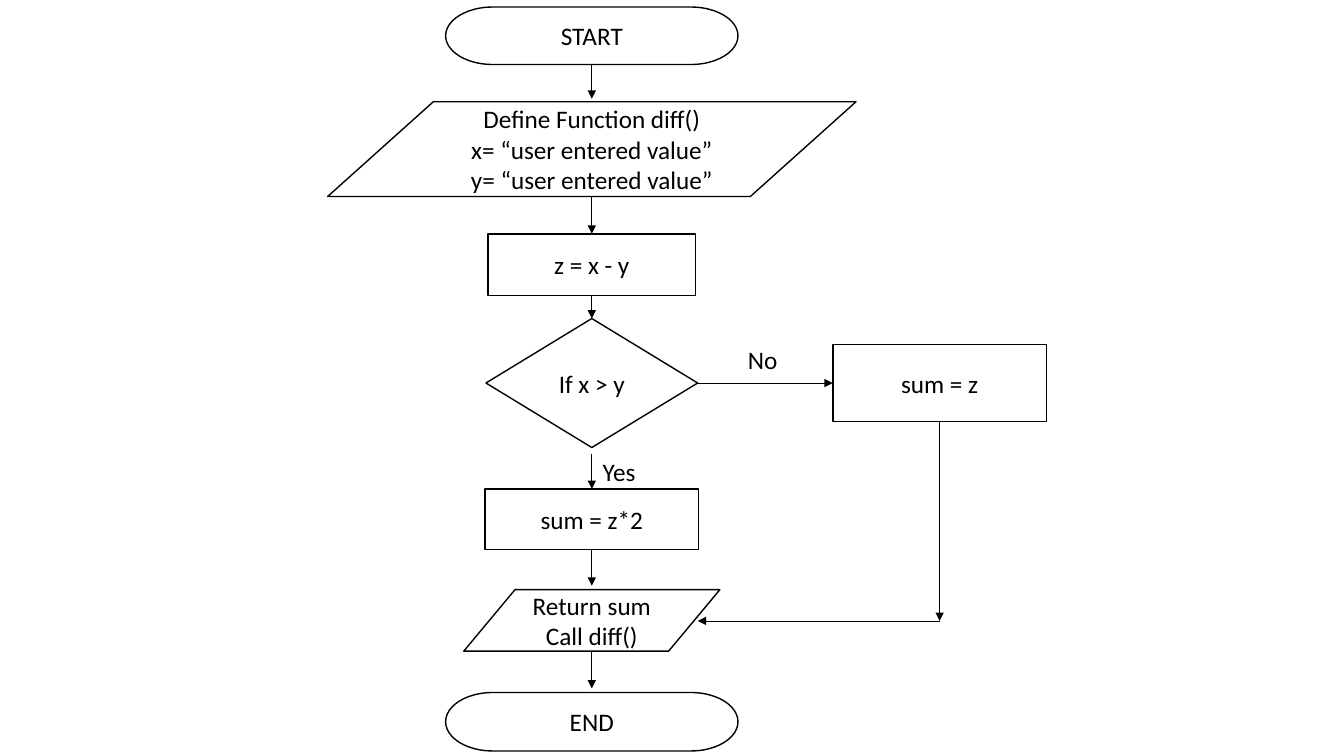
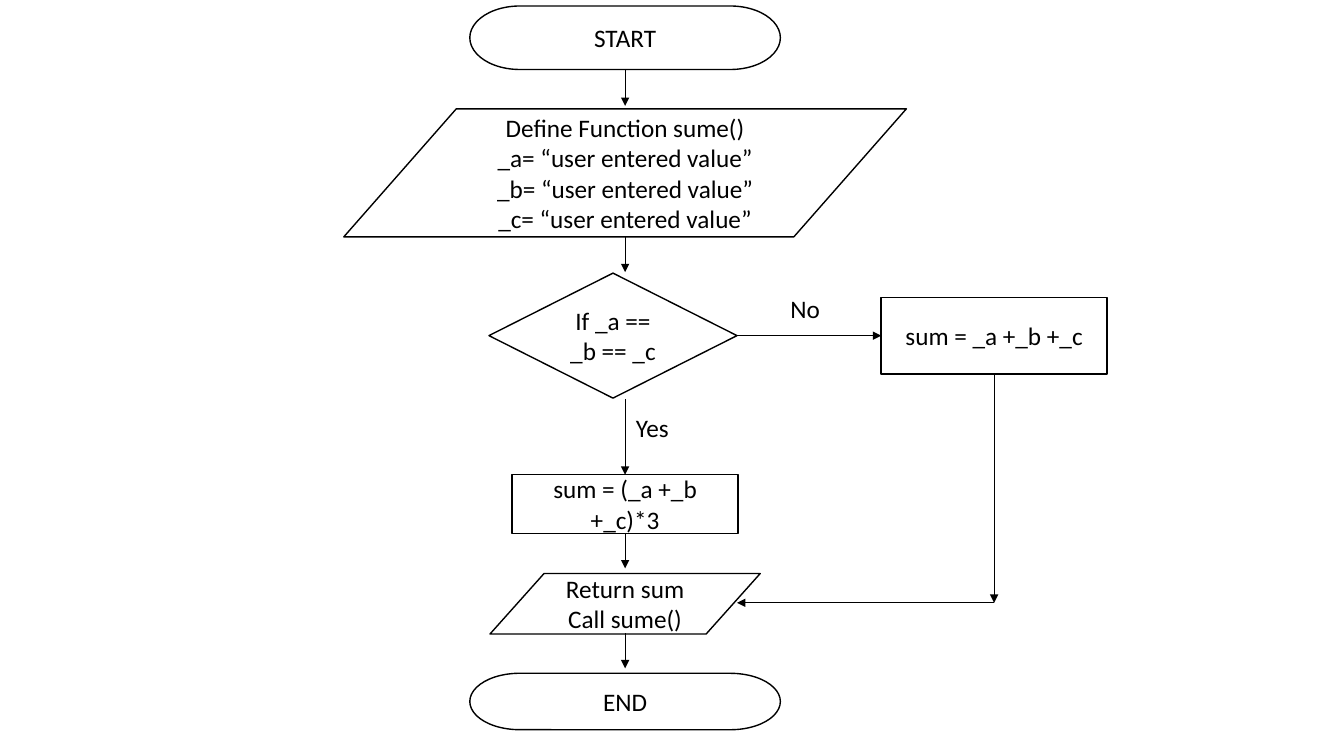
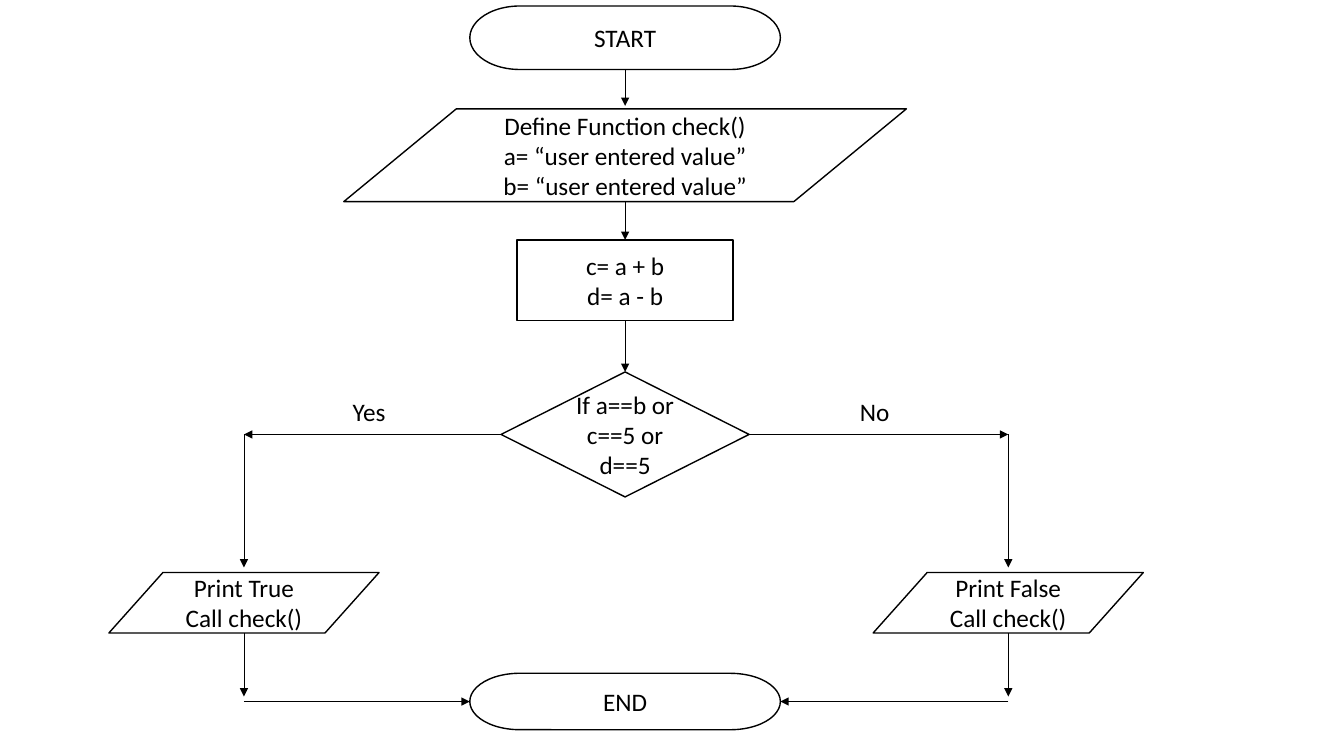
from lxml import etree
from pptx import Presentation
from pptx.dml.color import RGBColor
from pptx.enum.shapes import MSO_CONNECTOR, MSO_SHAPE
from pptx.enum.text import MSO_ANCHOR, PP_ALIGN
from pptx.oxml.ns import qn
from pptx.util import Pt

PX = 9144  # 100 px to the inch
CAP = MSO_SHAPE.FLOWCHART_TERMINATOR
DATA = MSO_SHAPE.FLOWCHART_DATA
STEP = MSO_SHAPE.FLOWCHART_PROCESS
TEST = MSO_SHAPE.FLOWCHART_DECISION
STRAIGHT = MSO_CONNECTOR.STRAIGHT
MIDDLE = MSO_ANCHOR.MIDDLE
CENTER = PP_ALIGN.CENTER
LEFT_AL = PP_ALIGN.LEFT
TOP, LEFT, BOTTOM, RIGHT = range(4)
COLORS = {"ink": "000000", "paper": "FFFFFF"}


def color(name):
    return RGBColor.from_string(COLORS[name])


class Chart:
    """Flowchart style and the slide being drawn; lengths are in px."""

    font = "Calibri"
    size = Pt(18)

    def __init__(self):
        self.prs = Presentation()
        self.prs.slide_width = 1333 * PX
        self.prs.slide_height = 750 * PX
        self.slide = None

    def page(self):
        self.slide = self.prs.slides.add_slide(self.prs.slide_layouts[6])

    def letter(self, shape, text, align):
        """Fill a shape with text in the shared style."""
        frame = shape.text_frame
        frame.word_wrap = True
        frame.text = text
        for para in frame.paragraphs:
            para.alignment = align
            para.font.name = self.font
            para.font.size = self.size
            para.font.color.rgb = color("ink")

    def box(self, kind, mid, top, width, height, text):
        """Add a shape centred on x = mid."""
        shape = self.slide.shapes.add_shape(
            kind, (mid - width // 2) * PX, top * PX, width * PX, height * PX)
        shape.shadow.inherit = False
        shape.fill.solid()
        shape.fill.fore_color.rgb = color("paper")
        shape.line.color.rgb = color("ink")
        shape.line.width = Pt(1)
        shape.text_frame.vertical_anchor = MIDDLE
        self.letter(shape, text, CENTER)
        return shape

    def label(self, left, top, text):
        area = self.slide.shapes.add_textbox(
            left * PX, top * PX, 57 * PX, 39 * PX)
        self.letter(area, text, LEFT_AL)

    def arrow(self, tail, head):
        """Join two ends, each a point (x, y) or a pair (shape, side)."""
        line = self.slide.shapes.add_connector(STRAIGHT, 0, 0, 0, 0)
        if isinstance(tail[0], int):
            line.begin_x, line.begin_y = (n * PX for n in tail)
        else:
            line.begin_connect(*tail)
        if isinstance(head[0], int):
            line.end_x, line.end_y = (n * PX for n in head)
        else:
            line.end_connect(*head)
        line.line.color.rgb = color("ink")
        line.line.width = Pt(0.5)
        props = line._element.spPr
        tip = etree.SubElement(props.find(qn("a:ln")), qn("a:tailEnd"))
        tip.set("type", "triangle")
        etree.SubElement(props, qn("a:effectLst"))

    def frame(self, mid, width, first, last, data, text):
        """Start a page with START, the input step and END.

        first, last and data end in (top, height); data starts with a width.
        """
        self.page()
        start = self.box(CAP, mid, first[0], width, first[1], "START")
        end = self.box(CAP, mid, last[0], width, last[1], "END")
        wide, top, height = data
        self.box(DATA, mid, top, wide, height, text)
        self.arrow((start, BOTTOM), (mid, top - 3))
        return end


def diff(chart):
    mid, side = 587, 932
    chart.frame(mid, 290, (7, 57), (687, 58), (524, 101, 94),
                "Define Function diff()\nx= “user entered value”\n"
                "y= “user entered value”")
    minus = chart.box(STEP, mid, 232, 206, 61, "z = x - y")
    test = chart.box(TEST, mid, 316, 210, 128, "If x > y")
    twice = chart.box(STEP, mid, 485, 212, 60, "sum = z*2")
    other = chart.box(STEP, side, 342, 212, 76, "sum = z")
    chart.box(DATA, mid, 585, 254, 61, "Return sum\nCall diff()")
    chart.label(588, 448, "Yes")
    chart.label(732, 337, "No")
    for tail, head in [
        ((mid, 195), (minus, TOP)),
        ((minus, BOTTOM), (test, TOP)),
        ((mid, 450), (twice, TOP)),
        ((twice, BOTTOM), (mid, 581)),
        ((mid, 646), (mid, 683)),
        ((test, RIGHT), (other, LEFT)),
        ((other, BOTTOM), (side, 616)),
        ((side, 616), (692, 616)),
    ]:
        chart.arrow(tail, head)


def sume(chart):
    mid, side = 620, 986
    chart.frame(mid, 308, (6, 63), (668, 56), (558, 108, 127),
                "Define Function sume()\n_a= “user entered value”\n"
                "_b= “user entered value”\n_c= “user entered value”")
    test = chart.box(TEST, 608, 271, 246, 124, "If _a == _b == _c")
    triple = chart.box(STEP, mid, 471, 224, 58, "sum = (_a +_b +_c)*3")
    other = chart.box(STEP, side, 295, 224, 76, "sum = _a +_b +_c")
    chart.box(DATA, mid, 569, 268, 60, "Return sum\nCall sume()")
    chart.label(621, 404, "Yes")
    chart.label(774, 286, "No")
    for tail, head in [
        ((mid, 235), (mid, 270)),
        ((mid, 396), (triple, TOP)),
        ((triple, BOTTOM), (mid, 564)),
        ((mid, 628), (mid, 663)),
        ((test, RIGHT), (other, LEFT)),
        ((other, BOTTOM), (side, 598)),
        ((side, 598), (731, 598)),
    ]:
        chart.arrow(tail, head)


def check(chart):
    mid = 620
    end = chart.frame(mid, 308, (6, 63), (668, 56), (558, 108, 92),
                      "Define Function check()\na= “user entered value”\n"
                      "b= “user entered value”")
    step = chart.box(STEP, mid, 238, 214, 80, "c= a + b\nd= a - b")
    test = chart.box(TEST, mid, 369, 246, 124, "If a==b or c==5 or d==5")
    chart.arrow((mid, 200), (step, TOP))
    chart.arrow((step, BOTTOM), (test, TOP))
    for x, side, word, left, answer in [
        (242, LEFT, "True", 340, "Yes"),
        (1000, RIGHT, "False", 843, "No"),
    ]:
        chart.box(DATA, x, 568, 268, 60, f"Print {word}\nCall check()")
        chart.label(left, 388, answer)
        chart.arrow((test, side), (x, 431))
        chart.arrow((x, 431), (x, 563))
        chart.arrow((x, 628), (x, 691))
        chart.arrow((x, 696), (end, side))


def main():
    chart = Chart()
    for draw in (diff, sume, check):
        draw(chart)
    chart.prs.save("out.pptx")


if __name__ == "__main__":
    main()
